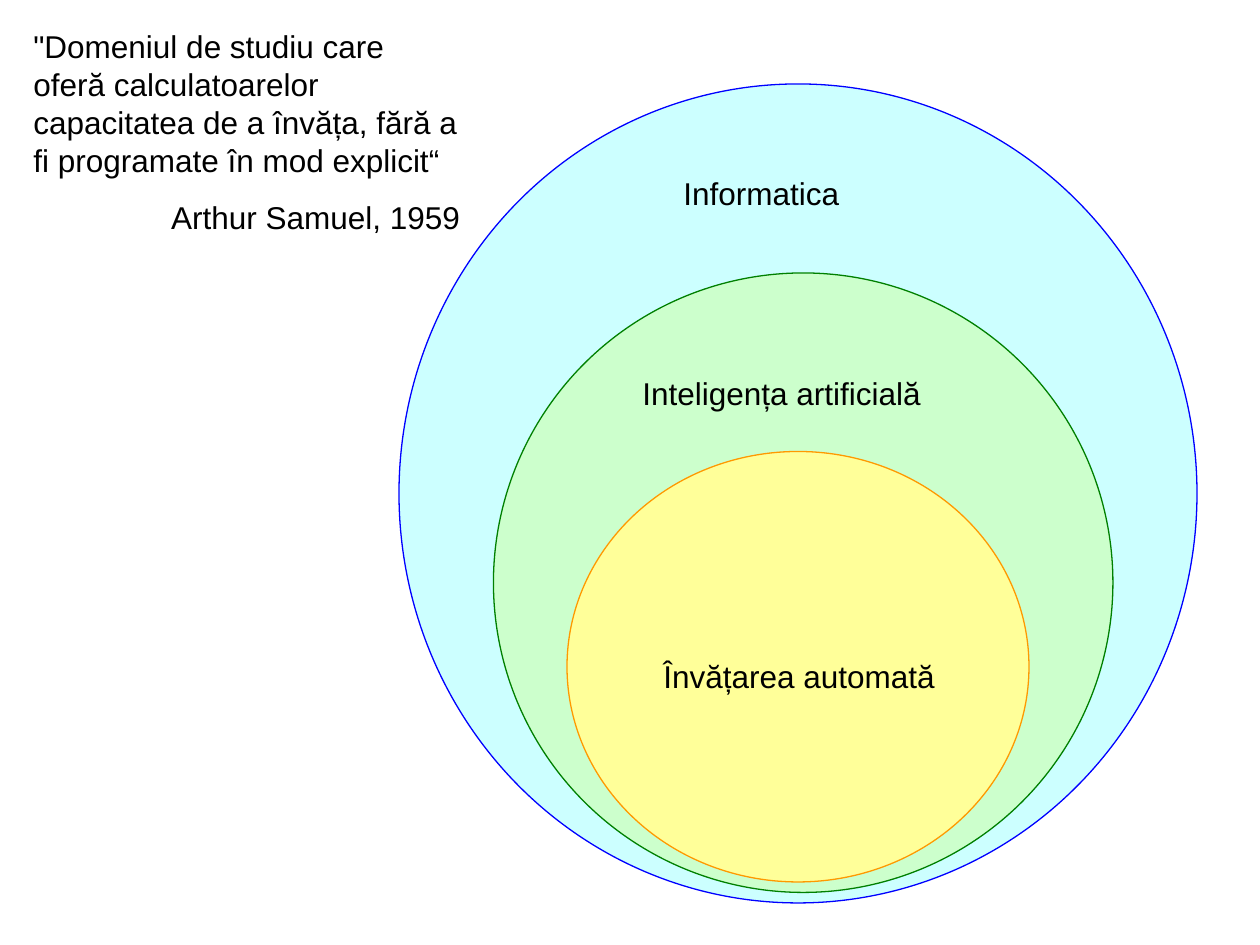
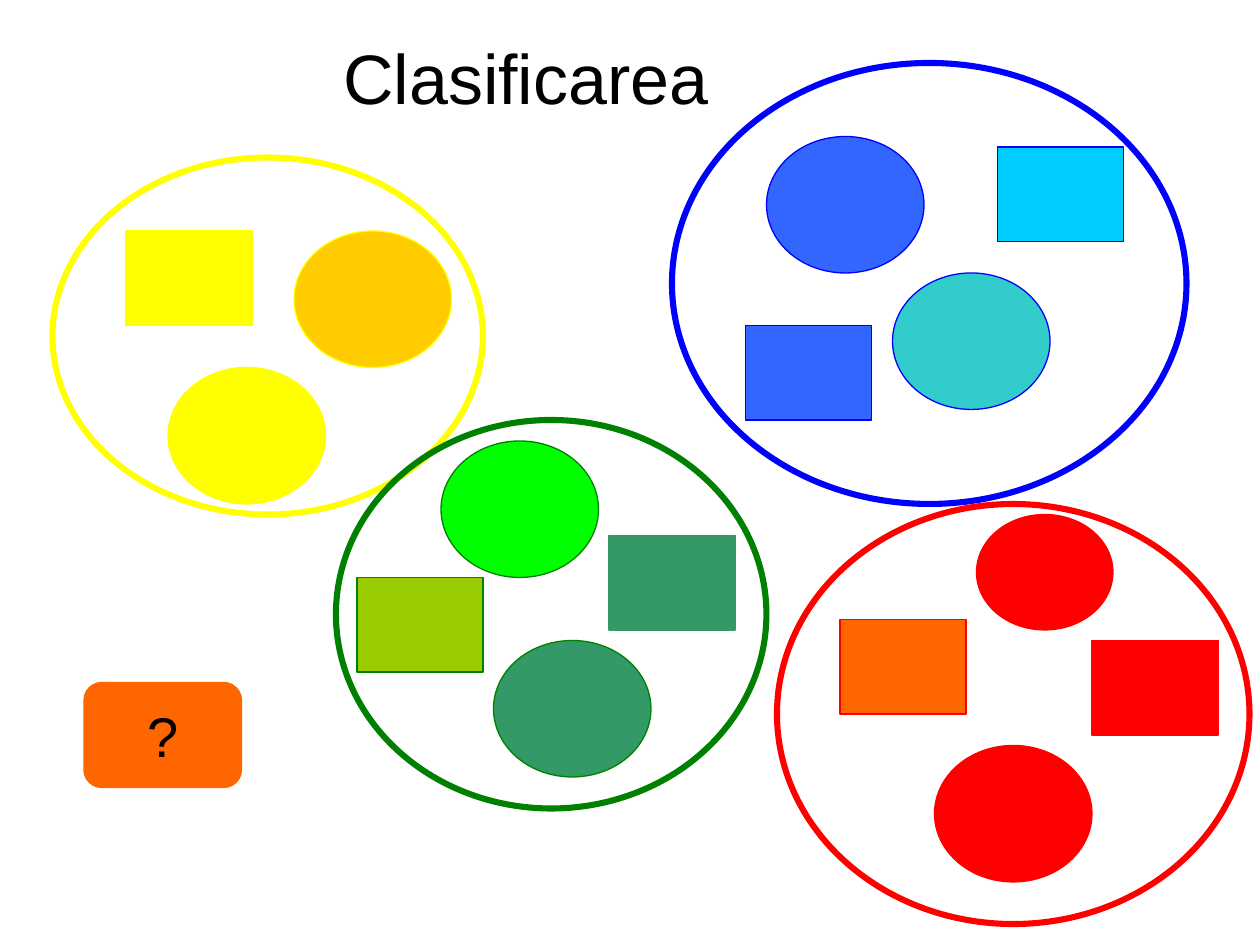
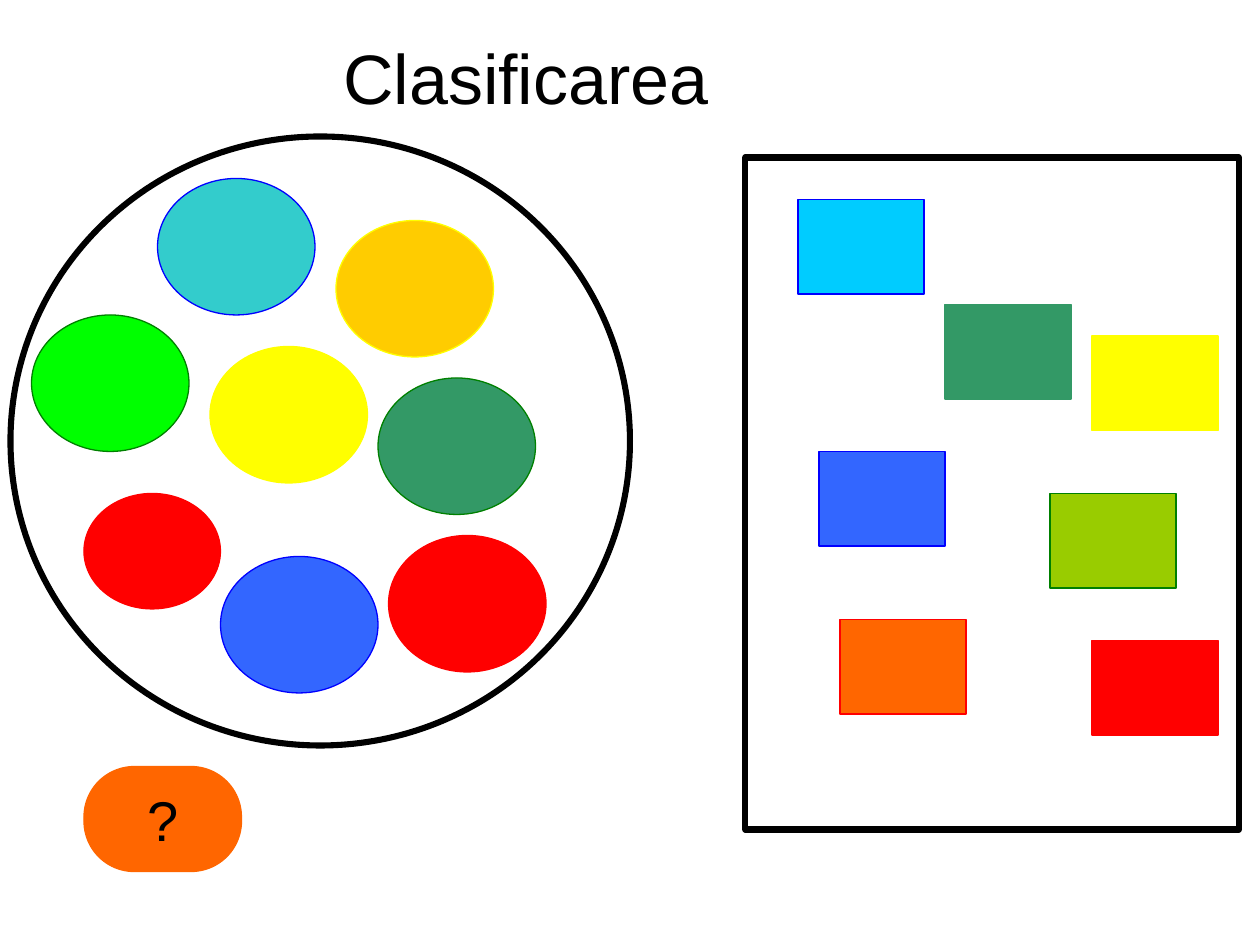
from dataclasses import dataclass
from typing import NamedTuple, Optional

from pptx import Presentation
from pptx.dml.color import RGBColor
from pptx.enum.shapes import MSO_SHAPE as Shape
from pptx.enum.text import MSO_ANCHOR as Anchor, MSO_AUTO_SIZE as AutoSize, PP_ALIGN as Align
from pptx.util import Inches, Pt

COLUMNS, ROWS = 120, 90
WIDTH, HEIGHT = Inches(10), Inches(7.5)
FONT = "Arial"
THIN, THICK = 0.75, 3.5
COLORS = {
    "black": "000000", "yellow": "FFFF00", "gold": "FFCC00",
    "sky": "00CCFF", "blue": "0000FF", "royal": "3366FF", "teal": "33CCCC",
    "red": "FF0000", "orange": "FF6600", "amber": "FF9900",
    "lime": "00FF00", "green": "008000", "sea": "339966", "olive": "99CC00",
    "pale_cyan": "CCFFFF", "pale_green": "CCFFCC", "pale_yellow": "FFFF99",
}


class Box(NamedTuple):
    col: float
    row: float
    cols: float
    rows: float


class Spot(NamedTuple):
    col: float
    row: float


class Size(NamedTuple):
    cols: float
    rows: float


RECT, OVAL, SMALL_OVAL, UNKNOWN = Size(12, 9), Size(15, 13), Size(13, 11), Size(15, 10)


@dataclass(frozen=True)
class Figure:
    kind: Shape
    box: Box
    fill: Optional[str]
    line: str
    weight: float = THIN


@dataclass(frozen=True)
class Item:
    kind: Shape
    size: Size
    fill: str
    line: str
    by_color: Spot
    by_shape: Spot


@dataclass(frozen=True)
class Label:
    box: Box
    lines: tuple[tuple[str, Align], ...]


NESTED_FIELDS = (
    Figure(Shape.OVAL, Box(38, 8, 76, 78), "pale_cyan", "blue"),
    Figure(Shape.OVAL, Box(47, 26, 59, 59), "pale_green", "green"),
    Figure(Shape.OVAL, Box(54, 43, 44, 41), "pale_yellow", "amber"),
)
FIELD_LABELS = (
    Label(Box(58, 16, 29, 4.8), (("Informatica", Align.CENTER),)),
    Label(Box(60, 35, 30, 4.8), (("Inteligența artificială", Align.LEFT),)),
    Label(Box(62, 62, 31, 4.8), (("Învățarea automată", Align.LEFT),)),
    Label(Box(2, 2, 43, 21.1), (
        ("\"Domeniul de studiu care oferă calculatoarelor capacitatea de a învăța, "
         "fără a fi programate în mod explicit“", Align.LEFT),
        ("Arthur Samuel, 1959", Align.RIGHT),
    )),
)
ITEMS = (
    Item(Shape.RECTANGLE, RECT, "yellow", "yellow", Spot(12, 22), Spot(104, 32)),
    Item(Shape.RECTANGLE, RECT, "sky", "blue", Spot(95, 14), Spot(76, 19)),
    Item(Shape.RECTANGLE, RECT, "royal", "blue", Spot(71, 31), Spot(78, 43)),
    Item(Shape.RECTANGLE, RECT, "red", "red", Spot(104, 61), Spot(104, 61)),
    Item(Shape.RECTANGLE, RECT, "orange", "red", Spot(80, 59), Spot(80, 59)),
    Item(Shape.OVAL, OVAL, "lime", "green", Spot(42, 42), Spot(3, 30)),
    Item(Shape.OVAL, OVAL, "sea", "green", Spot(47, 61), Spot(36, 36)),
    Item(Shape.OVAL, OVAL, "gold", "yellow", Spot(28, 22), Spot(32, 21)),
    Item(Shape.OVAL, OVAL, "yellow", "yellow", Spot(16, 35), Spot(20, 33)),
    Item(Shape.OVAL, OVAL, "teal", "blue", Spot(85, 26), Spot(15, 17)),
    Item(Shape.OVAL, SMALL_OVAL, "red", "red", Spot(93, 49), Spot(8, 47)),
    Item(Shape.OVAL, OVAL, "red", "red", Spot(89, 71), Spot(37, 51)),
    Item(Shape.OVAL, OVAL, "royal", "blue", Spot(73, 13), Spot(21, 53)),
    Item(Shape.RECTANGLE, RECT, "sea", "sea", Spot(58, 51), Spot(90, 29)),
    Item(Shape.RECTANGLE, RECT, "olive", "green", Spot(34, 55), Spot(100, 47)),
)
COLOR_CLASSES = (
    Figure(Shape.OVAL, Box(5, 15, 41, 34), None, "yellow", THICK),
    Figure(Shape.OVAL, Box(32, 40, 41, 37), None, "green", THICK),
    Figure(Shape.OVAL, Box(64, 6, 49, 42), None, "blue", THICK),
    Figure(Shape.OVAL, Box(74, 48, 45, 40), None, "red", THICK),
)
SHAPE_CLASSES = (
    Figure(Shape.OVAL, Box(1, 13, 59, 58), None, "black", THICK),
    Figure(Shape.RECTANGLE, Box(71, 15, 47, 64), None, "black", THICK),
)


def rgb(name: str) -> RGBColor:
    return RGBColor.from_string(COLORS[name])


def place(box: Box) -> tuple[int, int, int, int]:
    return (round(WIDTH * box.col / COLUMNS), round(HEIGHT * box.row / ROWS),
            round(WIDTH * box.cols / COLUMNS), round(HEIGHT * box.rows / ROWS))


def style(p, size: float, align: Align) -> None:
    p.alignment = align
    p.font.name = FONT
    p.font.size = Pt(size)
    p.font.color.rgb = rgb("black")


def draw_figure(s, figure: Figure):
    sp = s.shapes.add_shape(figure.kind, *place(figure.box))
    sp.shadow.inherit = False
    if figure.fill:
        sp.fill.solid()
        sp.fill.fore_color.rgb = rgb(figure.fill)
    else:
        sp.fill.background()
    sp.line.color.rgb = rgb(figure.line)
    sp.line.width = Pt(figure.weight)
    return sp


def draw_label(s, label: Label) -> None:
    tf = s.shapes.add_textbox(*place(label.box)).text_frame
    tf.word_wrap = True
    tf.auto_size = AutoSize.SHAPE_TO_FIT_TEXT
    for i, (text, align) in enumerate(label.lines):
        p = tf.add_paragraph() if i else tf.paragraphs[0]
        p.text = text
        if i:
            p.space_before = Pt(11.2)
        style(p, 18, align)


def draw_title(s, text: str) -> None:
    title = s.shapes.title
    title.left, title.top, title.width, title.height = place(Box(6, 3.6, 90, 7.4))
    tf = title.text_frame
    tf.text = text
    tf.auto_size = AutoSize.NONE
    tf.vertical_anchor = Anchor.MIDDLE
    style(tf.paragraphs[0], 40, Align.CENTER)


def draw_unknown(s, spot: Spot, rounding: float) -> None:
    sp = draw_figure(s, Figure(Shape.ROUNDED_RECTANGLE, Box(*spot, *UNKNOWN), "orange", "orange"))
    sp.adjustments[0] = rounding
    tf = sp.text_frame
    tf.word_wrap = False
    tf.vertical_anchor = Anchor.MIDDLE
    tf.text = "?"
    style(tf.paragraphs[0], 32, Align.CENTER)


def add_fields_slide(prs) -> None:
    s = prs.slides.add_slide(prs.slide_layouts[6])
    for figure in NESTED_FIELDS:
        draw_figure(s, figure)
    for label in FIELD_LABELS:
        draw_label(s, label)


def add_classification_slide(prs, grouping: str, classes: tuple[Figure, ...],
                             unknown: Spot, rounding: float) -> None:
    s = prs.slides.add_slide(prs.slide_layouts[5])
    draw_title(s, "Clasificarea ")
    for item in ITEMS:
        box = Box(*getattr(item, grouping), *item.size)
        draw_figure(s, Figure(item.kind, box, item.fill, item.line))
    for figure in classes:
        draw_figure(s, figure)
    draw_unknown(s, unknown, rounding)


def main() -> None:
    prs = Presentation()
    prs.slide_width, prs.slide_height = WIDTH, HEIGHT
    add_fields_slide(prs)
    add_classification_slide(prs, "by_color", COLOR_CLASSES, Spot(8, 65), 0.17)
    add_classification_slide(prs, "by_shape", SHAPE_CLASSES, Spot(8, 73), 0.48)
    prs.save("out.pptx")


if __name__ == "__main__":
    main()
